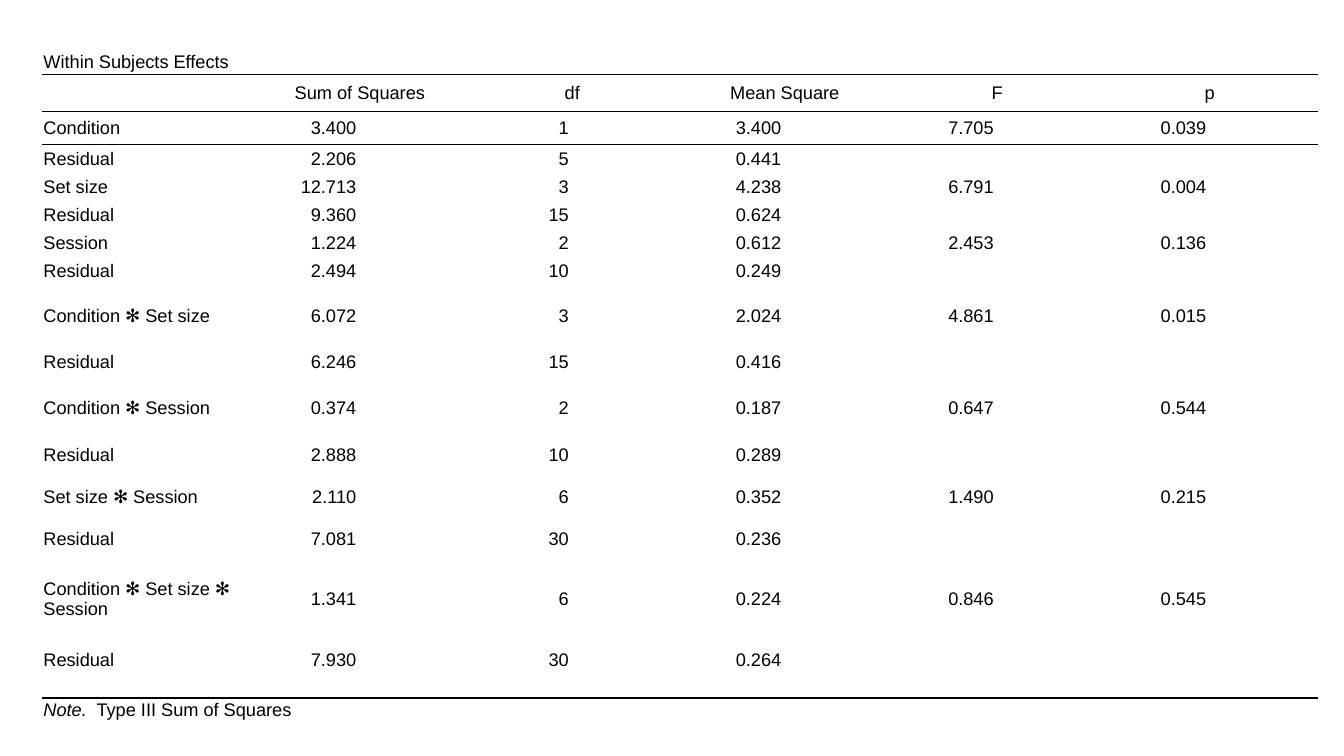
from lxml import etree
from pptx import Presentation
from pptx.dml.color import RGBColor
from pptx.enum.text import MSO_ANCHOR, PP_ALIGN
from pptx.oxml.ns import qn
from pptx.util import Pt

TITLE = "Within Subjects Effects"
HEADINGS = ["Sum of Squares", "df", "Mean Square", "F", "p"]
EFFECTS = [
    ("Condition", "3.400", "1", "3.400", "7.705", "0.039"),
    ("Residual", "2.206", "5", "0.441"),
    ("Set size", "12.713", "3", "4.238", "6.791", "0.004"),
    ("Residual", "9.360", "15", "0.624"),
    ("Session", "1.224", "2", "0.612", "2.453", "0.136"),
    ("Residual", "2.494", "10", "0.249"),
    ("Condition ✻ Set size", "6.072", "3", "2.024", "4.861", "0.015"),
    ("Residual", "6.246", "15", "0.416"),
    ("Condition ✻ Session", "0.374", "2", "0.187", "0.647", "0.544"),
    ("Residual", "2.888", "10", "0.289"),
    ("Set size ✻ Session", "2.110", "6", "0.352", "1.490", "0.215"),
    ("Residual", "7.081", "30", "0.236"),
    ("Condition ✻ Set size ✻ Session", "1.341", "6", "0.224", "0.846", "0.545"),
    ("Residual", "7.930", "30", "0.264"),
]
NOTE = ("Note. ", " Type III Sum of Squares")

COLORS = {"ink": "000000"}
FONT, SIZE = "Arial", 13
LEFT, TOP = 30.3, 36
COLUMN_WIDTHS = [148.3, 2.9] + [75.9] * 10
EFFECT_HEIGHTS = [24] + [20] * 5 + [45, 21] * 2 + [39.5, 20.5, 65.5, 21]
ROW_HEIGHTS = [17, 26.5] + EFFECT_HEIGHTS + [17, 17]
HEADING_ROW, FIRST_EFFECT_ROW = 1, 2
NOTE_ROW = len(ROW_HEIGHTS) - 1
RULES_ABOVE = {HEADING_ROW: 0.75, FIRST_EFFECT_ROW: 0.75, NOTE_ROW: 1.5}
NO_STYLE = "{2D5ABB26-0587-4C30-8999-92F81FD0307C}"


def add_border(cell, side, width):
    line = etree.SubElement(cell._tc.get_or_add_tcPr(), qn(f"a:{side}"), w=str(Pt(width)))
    fill = etree.SubElement(line, qn("a:solidFill"))
    etree.SubElement(fill, qn("a:srgbClr"), val=COLORS["ink"])


def prepare_cell(cell, row):
    """Set margins, fill and the rules shared with the neighbouring rows."""
    cell.margin_left = cell.margin_right = Pt(0.75)
    cell.margin_top = cell.margin_bottom = 0
    cell.vertical_anchor = MSO_ANCHOR.MIDDLE
    for side, boundary in (("lnT", row), ("lnB", row + 1)):
        if boundary in RULES_ABOVE:
            add_border(cell, side, RULES_ABOVE[boundary])
    cell.fill.background()


def write(cell, text, align=PP_ALIGN.LEFT):
    paragraph = cell.text_frame.paragraphs[0]
    paragraph.text = text
    paragraph.alignment = align


def format_text(cell):
    """Format the runs; an empty cell gets the size too, so its row stays low."""
    paragraph = cell.text_frame.paragraphs[0]
    for run in paragraph.runs:
        run.font.name = FONT
        run.font.size = Pt(SIZE)
        run.font.color.rgb = RGBColor.from_string(COLORS["ink"])
    if not paragraph.runs:
        etree.SubElement(paragraph._p, qn("a:endParaRPr"), sz=str(SIZE * 100))


def main():
    presentation = Presentation()
    presentation.slide_width, presentation.slide_height = Pt(960), Pt(540)
    slide = presentation.slides.add_slide(presentation.slide_layouts[6])
    table = slide.shapes.add_table(
        len(ROW_HEIGHTS), len(COLUMN_WIDTHS), Pt(LEFT), Pt(TOP),
        Pt(sum(COLUMN_WIDTHS)), Pt(sum(ROW_HEIGHTS))).table
    table.first_row = table.horz_banding = False
    table._tbl.tblPr.find(qn("a:tableStyleId")).text = NO_STYLE
    for column, width in zip(table.columns, COLUMN_WIDTHS):
        column.width = Pt(width)
    for row, height in zip(table.rows, ROW_HEIGHTS):
        row.height = Pt(height)

    last_column = len(COLUMN_WIDTHS) - 1
    for row in (0, NOTE_ROW - 1, NOTE_ROW):
        table.cell(row, 0).merge(table.cell(row, last_column))
    for column in range(0, last_column, 2):
        table.cell(HEADING_ROW, column).merge(table.cell(HEADING_ROW, column + 1))

    write(table.cell(0, 0), TITLE)
    for index, heading in enumerate(HEADINGS, 1):
        write(table.cell(HEADING_ROW, 2 * index), heading + " ", PP_ALIGN.CENTER)
    for row, (effect, *values) in enumerate(EFFECTS, FIRST_EFFECT_ROW):
        write(table.cell(row, 0), effect)
        for index, value in enumerate(values, 1):
            write(table.cell(row, 2 * index), value + " ", PP_ALIGN.RIGHT)
    note = table.cell(NOTE_ROW, 0).text_frame.paragraphs[0]
    for part in NOTE:
        note.add_run().text = part
    note.runs[0].font.italic = True

    for row in range(len(ROW_HEIGHTS)):
        for column in range(len(COLUMN_WIDTHS)):
            prepare_cell(table.cell(row, column), row)
            format_text(table.cell(row, column))
    presentation.save("out.pptx")


if __name__ == "__main__":
    main()
